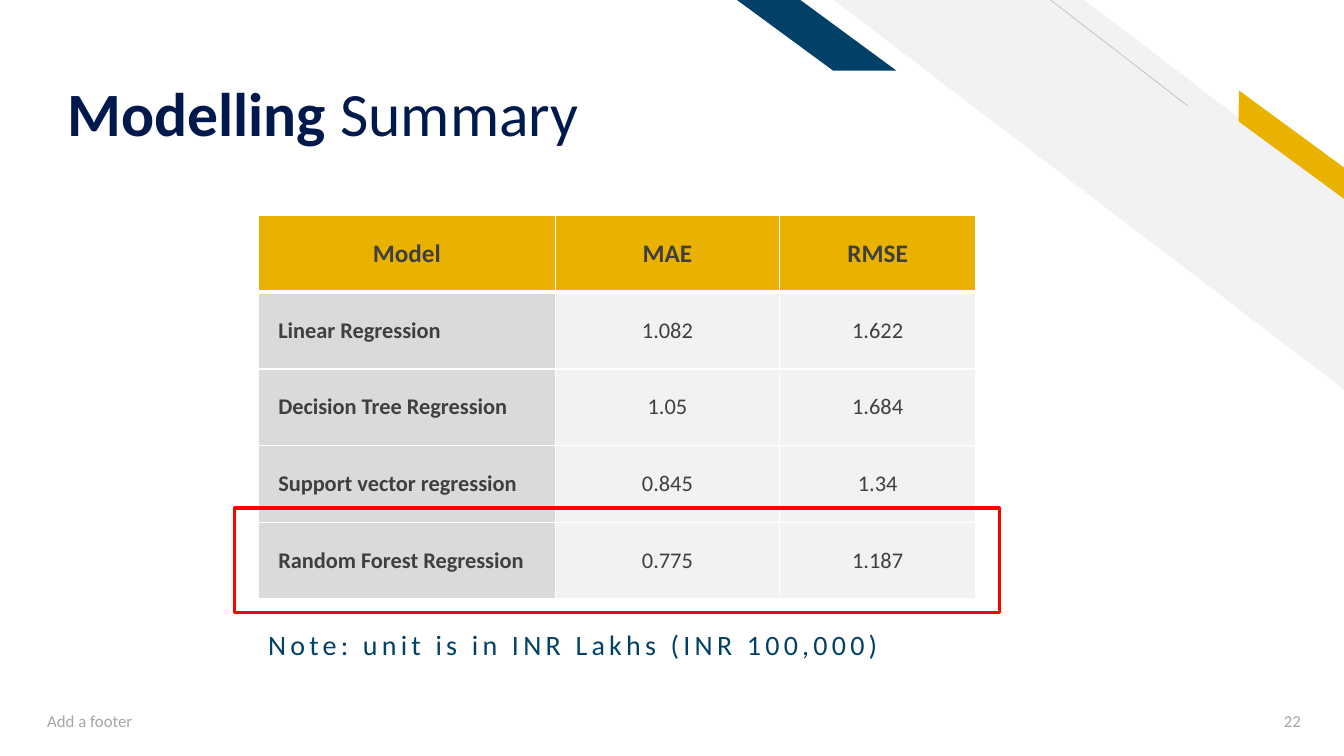
from lxml.etree import SubElement
from pptx import Presentation
from pptx.dml.color import RGBColor
from pptx.enum.shapes import MSO_CONNECTOR, MSO_SHAPE
from pptx.enum.text import MSO_ANCHOR, PP_ALIGN
from pptx.oxml.ns import qn
from pptx.util import Inches, Pt

NAVY = RGBColor(0x00, 0x19, 0x4C)
BLUE = RGBColor(0x01, 0x40, 0x67)
GOLD = RGBColor(0xEA, 0xB2, 0x00)
PALE = RGBColor(0xF2, 0xF2, 0xF2)
LIGHT = RGBColor(0xDA, 0xDA, 0xDA)
RULE = RGBColor(0xBF, 0xBF, 0xBF)
MUTED = RGBColor(0xA5, 0xA5, 0xA5)
INK = RGBColor(0x3F, 0x3F, 0x3F)
RED = RGBColor(0xFF, 0x00, 0x00)

TITLE = [("Modelling ", True), ("Summary", False)]
NOTE = "Note: unit is in INR Lakhs (INR 100,000)"
FOOTER = "Add a footer"
PAGE = "22"
SCORES = [
    ("Model", "MAE", "RMSE"),
    ("Linear Regression", "1.082", "1.622"),
    ("Decision Tree Regression", "1.05", "1.684"),
    ("Support vector regression", "0.845", "1.34"),
    ("Random Forest Regression", "0.775", "1.187"),
]
# preset, (left, top, width, height), adjustment, rotation, colour
STRIPES = [
    (MSO_SHAPE.DIAGONAL_STRIPE, (8.27, 0, 5.07, 3.87), 0.51, 0, PALE),
    (MSO_SHAPE.PARALLELOGRAM, (12.07, 1.31, 1.48, 0.25), 0.72, 36.3, GOLD),
    (MSO_SHAPE.PARALLELOGRAM, (7.31, 0, 1.58, 0.7), 1.36, 0, BLUE),
]
THIN_LINE = (11.78, 1.05, 10.42, 0)

TABLE_LEFT, TABLE_TOP = 2.56, 2.14
COLUMNS = (2.95, 2.22, 1.95)
ROW = 0.76
HIGHLIGHT = (2.33, 5.04, 7.58, 1.04)
FOOTER_TOP, FOOTER_HEIGHT = 6.95, 0.4


def inches(lengths):
    return [Inches(length) for length in lengths]


def write(frame, runs, size, color, align=PP_ALIGN.LEFT, line_spacing=1.0, tracking=0):
    """Fill a text frame with one paragraph of (text, bold) runs."""
    paragraph = frame.paragraphs[0]
    paragraph.alignment = align
    paragraph.line_spacing = line_spacing
    for words, bold in runs:
        run = paragraph.add_run()
        run.text = words
        font = run.font
        font.name, font.size, font.bold = "Calibri", Pt(size), bold
        font.color.rgb = color
        if tracking:
            run.font._element.set("spc", str(tracking * 100))


def add_text(slide, box, runs, anchor=MSO_ANCHOR.MIDDLE, bottom=0.05, **style):
    frame = slide.shapes.add_textbox(*inches(box)).text_frame
    frame.word_wrap = True
    frame.vertical_anchor = anchor
    frame.margin_bottom = Inches(bottom)
    write(frame, runs, **style)


def add_stripe(slide, preset, box, adjustment, rotation, color):
    stripe = slide.shapes.add_shape(preset, *inches(box))
    stripe.shadow.inherit = False
    stripe.adjustments[0] = adjustment
    stripe.rotation = rotation
    stripe.fill.solid()
    stripe.fill.fore_color.rgb = color
    stripe.line.fill.background()
    stripe.element.spPr.find(qn("a:xfrm")).set("flipH", "1")


def add_thin_line(slide):
    line = slide.shapes.add_connector(MSO_CONNECTOR.STRAIGHT, *inches(THIN_LINE))
    line.line.color.rgb = RULE
    line.line.width = Pt(0.5)
    SubElement(line.element.spPr, qn("a:effectLst"))


def add_borders(cell, top, bottom):
    """Draw white cell borders; top and bottom widths are in points."""
    properties = cell._tc.get_or_add_tcPr()
    for side, width in (("L", 1), ("R", 1), ("T", top), ("B", bottom)):
        border = SubElement(properties, qn(f"a:ln{side}"), w=str(Pt(width)))
        fill = SubElement(border, qn("a:solidFill"))
        SubElement(fill, qn("a:srgbClr"), val="FFFFFF")


def add_scores(slide):
    box = (TABLE_LEFT, TABLE_TOP, sum(COLUMNS), ROW * len(SCORES))
    table = slide.shapes.add_table(len(SCORES), len(COLUMNS), *inches(box)).table
    for column, width in zip(table.columns, COLUMNS):
        column.width = Inches(width)
    for r, record in enumerate(SCORES):
        table.rows[r].height = Inches(ROW)
        for c, words in enumerate(record):
            cell = table.cell(r, c)
            header, model = r == 0, r > 0 and c == 0
            add_borders(cell, top=3 if r == 1 else 1, bottom=3 if header else 1)
            cell.fill.solid()
            cell.fill.fore_color.rgb = GOLD if header else LIGHT if model else PALE
            cell.vertical_anchor = MSO_ANCHOR.MIDDLE
            cell.margin_left = Inches(0.2 if model else 0.1)
            write(cell.text_frame, [(words, header or model)],
                  size=18 if header else 16, color=INK,
                  align=PP_ALIGN.LEFT if model else PP_ALIGN.CENTER)


def add_highlight(slide):
    frame = slide.shapes.add_shape(MSO_SHAPE.RECTANGLE, *inches(HIGHLIGHT))
    frame.shadow.inherit = False
    frame.fill.background()
    frame.line.color.rgb = RED
    frame.line.width = Pt(2.25)


def main():
    deck = Presentation()
    deck.slide_width, deck.slide_height = inches((13.33, 7.5))
    slide = deck.slides.add_slide(deck.slide_layouts[6])

    for stripe in STRIPES:
        add_stripe(slide, *stripe)
    add_thin_line(slide)
    add_text(slide, (0.57, 0.23, 9.11, 1.26), TITLE, anchor=MSO_ANCHOR.BOTTOM,
             bottom=0, size=44, color=NAVY, line_spacing=0.9)
    add_text(slide, (TABLE_LEFT, 6.21, 9.28, 0.67), [(NOTE, False)],
             anchor=MSO_ANCHOR.TOP, size=20, color=BLUE, line_spacing=0.9, tracking=3)
    add_scores(slide)
    for words, left, width, align in ((FOOTER, 0.37, 4.5, PP_ALIGN.LEFT),
                                      (PAGE, 12.19, 0.81, PP_ALIGN.RIGHT)):
        add_text(slide, (left, FOOTER_TOP, width, FOOTER_HEIGHT), [(words, False)],
                 size=12, color=MUTED, align=align)
    add_highlight(slide)
    deck.save("out.pptx")


if __name__ == "__main__":
    main()
